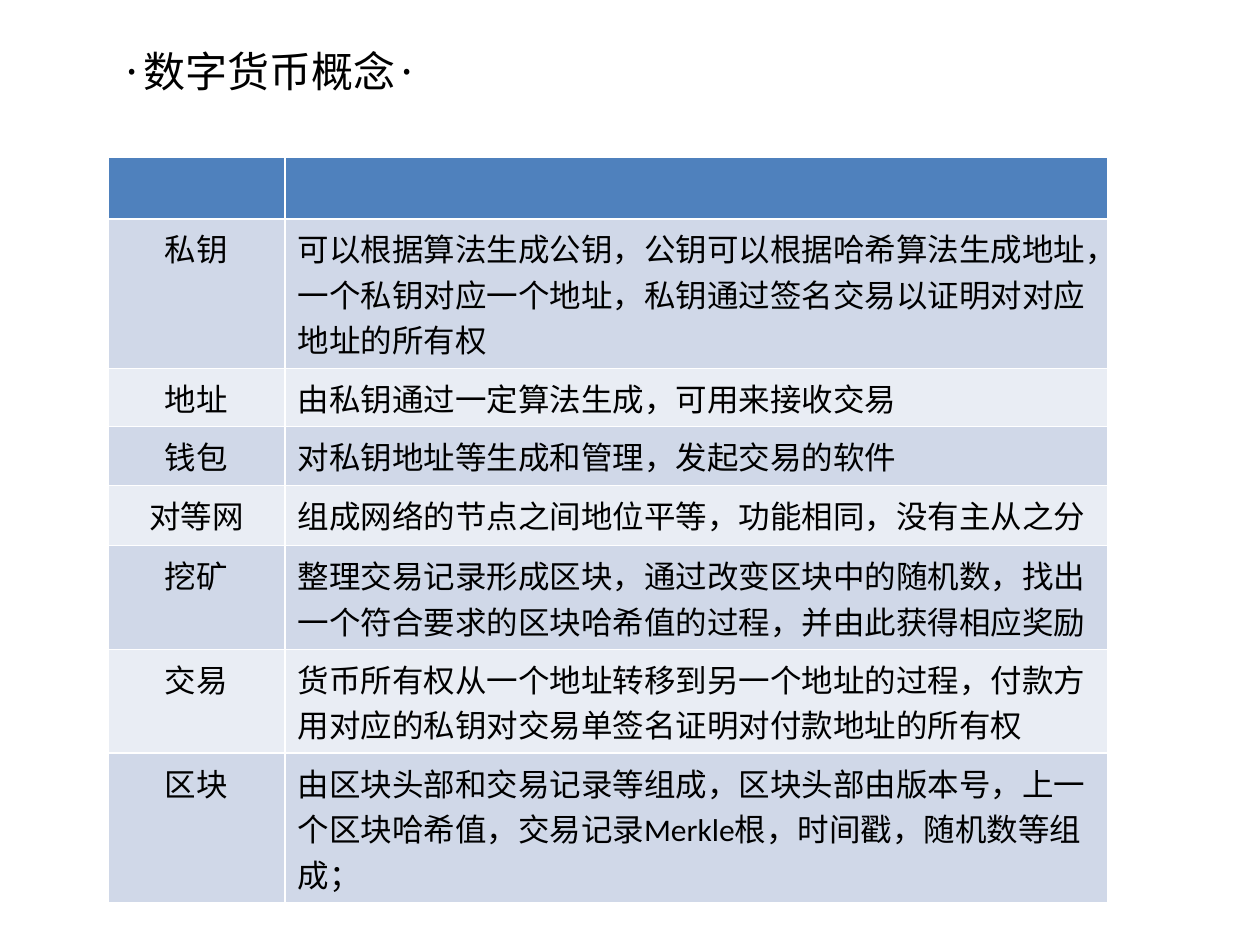
from typing import NamedTuple

from pptx import Presentation
from pptx.dml.color import RGBColor as Rgb
from pptx.enum.text import MSO_AUTO_SIZE as Fit, PP_ALIGN as Align
from pptx.oxml.ns import qn
from pptx.util import Emu, Pt

SCALE = 914400 // 126
COLORS = {"head": "4F81BD", "odd": "D0D8E8", "even": "E9EDF4", "ink": "000000"}
HAN = "Noto Sans CJK SC"
TITLE = "Noto Sans CJK JP"
LATIN = "Calibri"
LEFT = 108
WIDTHS = (177, 823)
HEAD = 62


class Term(NamedTuple):
    name: str
    text: str
    high: int


TERMS = (
    Term("私钥", "可以根据算法生成公钥，公钥可以根据哈希算法生成地址，一个私钥对应一个地址，私钥通过签名交易以证明对对应地址的所有权", 126),
    Term("地址", "由私钥通过一定算法生成，可用来接收交易", 58),
    Term("钱包", "对私钥地址等生成和管理，发起交易的软件", 59),
    Term("对等网", "组成网络的节点之间地位平等，功能相同，没有主从之分", 60),
    Term("挖矿", "整理交易记录形成区块，通过改变区块中的随机数，找出一个符合要求的区块哈希值的过程，并由此获得相应奖励", 88),
    Term("交易", "货币所有权从一个地址转移到另一个地址的过程，付款方用对应的私钥对交易单签名证明对付款地址的所有权", 84),
    Term("区块", "由区块头部和交易记录等组成，区块头部由版本号，上一个区块哈希值，交易记录Merkle根，时间戳，随机数等组成；", 103),
)


def px(count: int) -> Emu:
    return Emu(count * SCALE)


def color(key: str) -> Rgb:
    return Rgb.from_string(COLORS[key])


def write(frame, text: str, size: int, face: str, han: str = HAN, align=Align.LEFT) -> None:
    frame.text = text
    para = frame.paragraphs[0]
    para.alignment = align
    font = para.font
    font.size = Pt(size)
    font.name = face
    font.color.rgb = color("ink")
    latin = font._element.find(qn("a:latin"))
    east = latin.makeelement(qn("a:ea"), {"typeface": han})
    latin.addnext(east)


def paint(cell, key: str) -> None:
    cell.fill.solid()
    cell.fill.fore_color.rgb = color(key)


def add_title(slide) -> None:
    box = slide.shapes.add_textbox(px(LEFT), px(39), px(669), px(63))
    frame = box.text_frame
    frame.word_wrap = True
    frame.auto_size = Fit.SHAPE_TO_FIT_TEXT
    write(frame, "·数字货币概念·", 24, TITLE, TITLE)


def add_terms(slide) -> None:
    highs = [HEAD] + [term.high for term in TERMS]
    table = slide.shapes.add_table(
        len(highs), len(WIDTHS), px(LEFT), px(157), px(sum(WIDTHS)), px(sum(highs))
    ).table
    for col, wide in zip(table.columns, WIDTHS):
        col.width = px(wide)
    for row, high in zip(table.rows, highs):
        row.height = px(high)
    for cell in table.rows[0].cells:
        paint(cell, "head")
    for i, term in enumerate(TERMS, 1):
        name, text = table.rows[i].cells
        write(name.text_frame, term.name, 18, HAN, align=Align.CENTER)
        write(text.text_frame, term.text, 18, LATIN)
        for cell in (name, text):
            paint(cell, "odd" if i % 2 else "even")


def main() -> None:
    deck = Presentation()
    deck.slide_width, deck.slide_height = px(1260), px(945)
    slide = deck.slides.add_slide(deck.slide_layouts[6])
    add_terms(slide)
    add_title(slide)
    deck.save("out.pptx")


if __name__ == "__main__":
    main()
